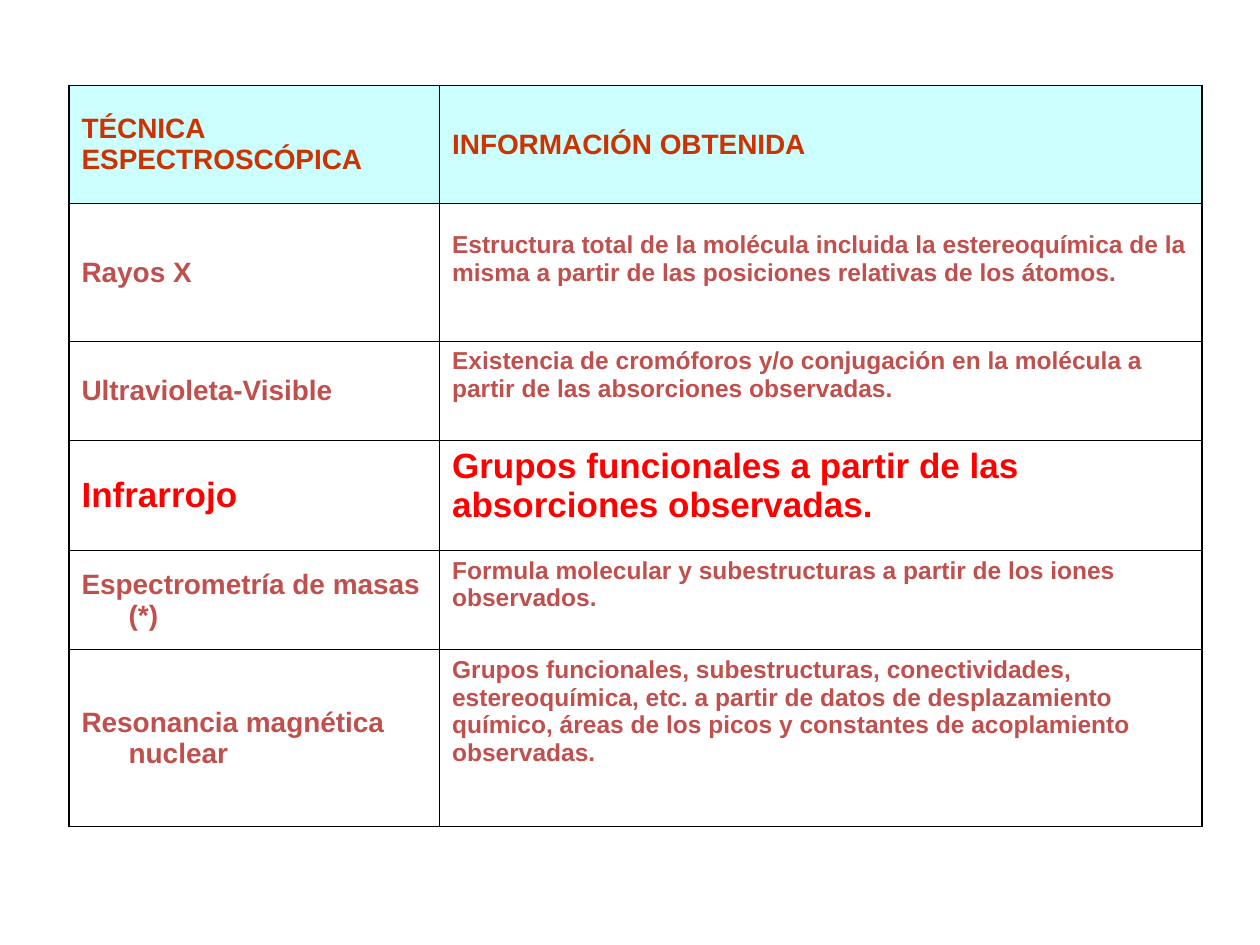
from lxml import etree
from pptx import Presentation
from pptx import util as u
from pptx.dml.color import RGBColor
from pptx.enum import text
from pptx.oxml.ns import qn

BRICK, RUST, RED = "C0504D", "CC3300", "FF0000"
BLACK, WHITE, PALE_CYAN = "000000", "FFFFFF", "CCFFFF"
COLUMN_WIDTHS = (7.47, 15.37)
ROW_HEIGHTS = (2.38, 2.78, 2.0, 2.22, 2.0, 3.57)
TOP = text.MSO_ANCHOR.TOP
MIDDLE = text.MSO_ANCHOR.MIDDLE
LEFT = text.PP_ALIGN.LEFT
JUSTIFY = text.PP_ALIGN.JUSTIFY

# Each row: technique, lines of information, format of both, format of the information
ROWS = [
    ("Rayos X",
     ["Estructura total de la molécula incluida la estereoquímica de la",
      "misma a partir de las posiciones relativas de los átomos."],
     {}, {"top": 0.57}),
    ("Ultravioleta-Visible",
     ["Existencia de cromóforos y/o conjugación en la molécula a",
      "partir de las absorciones observadas."],
     {}, {}),
    ("Infrarrojo",
     ["Grupos funcionales a partir de las", "absorciones observadas."],
     {"size": 20, "color": RED}, {}),
    ("Espectrometría de masas (*)",
     ["Formula molecular y subestructuras a partir de los iones",
      "observados."],
     {}, {"align": LEFT}),
    ("Resonancia magnética nuclear",
     ["Grupos funcionales, subestructuras, conectividades,",
      "estereoquímica, etc. a partir de datos de desplazamiento",
      "químico, áreas de los picos y constantes de acoplamiento",
      "observadas."],
     {}, {}),
]


def rgb(value):
    return RGBColor.from_string(value)


def add_borders(cell, color=BLACK, width=0.75):
    """Put a thin line on all four sides; lines come before the fill."""
    properties = cell._tc.get_or_add_tcPr()
    for position, side in enumerate(("a:lnL", "a:lnR", "a:lnT", "a:lnB")):
        line = etree.Element(qn(side), w=str(u.Pt(width)))
        fill = etree.SubElement(line, qn("a:solidFill"))
        etree.SubElement(fill, qn("a:srgbClr"), val=color)
        properties.insert(position, line)


def write_cell(cell, lines, size=16, color=BRICK, fill=WHITE, anchor=MIDDLE,
               align=LEFT, top=0.13):
    """Fill a cell with bold lines that have a hanging indent."""
    cell.fill.solid()
    cell.fill.fore_color.rgb = rgb(fill)
    cell.vertical_anchor = anchor
    cell.margin_top = u.Cm(top)
    add_borders(cell)
    frame = cell.text_frame
    for index, line in enumerate(lines):
        para = frame.add_paragraph() if index else frame.paragraphs[0]
        para.alignment = align
        indents = para._p.get_or_add_pPr()
        indents.set("marL", str(u.Cm(0.95)))
        indents.set("indent", str(-u.Cm(0.95)))
        span = para.add_run()
        span.text = line
        span.font.name = "Arial"
        span.font.size = u.Pt(size)
        span.font.bold = True
        span.font.color.rgb = rgb(color)


def add_grid(page):
    """Add the empty table with its column widths and row heights."""
    table = page.shapes.add_table(
        len(ROW_HEIGHTS), len(COLUMN_WIDTHS), u.Cm(1.39), u.Cm(1.72),
        u.Cm(sum(COLUMN_WIDTHS)), u.Cm(sum(ROW_HEIGHTS))).table
    for column, width in zip(table.columns, COLUMN_WIDTHS):
        column.width = u.Cm(width)
    for row, height in zip(table.rows, ROW_HEIGHTS):
        row.height = u.Cm(height)
    return table


def main():
    deck = Presentation()
    deck.slide_width, deck.slide_height = u.Cm(25.4), u.Cm(19.05)
    page = deck.slides.add_slide(deck.slide_layouts[6])
    table = add_grid(page)

    # Header row
    header = {"color": RUST, "fill": PALE_CYAN}
    write_cell(table.cell(0, 0), ["TÉCNICA", "ESPECTROSCÓPICA"],
               anchor=TOP, top=0.57, **header)
    write_cell(table.cell(0, 1), ["INFORMACIÓN OBTENIDA"], **header)

    # One row for each technique
    for number, (technique, lines, shared, own) in enumerate(ROWS, start=1):
        write_cell(table.cell(number, 0), [technique], **shared)
        information = {"size": 14, "anchor": TOP, "align": JUSTIFY}
        write_cell(table.cell(number, 1), lines,
                   **{**information, **shared, **own})

    deck.save("out.pptx")


if __name__ == "__main__":
    main()
